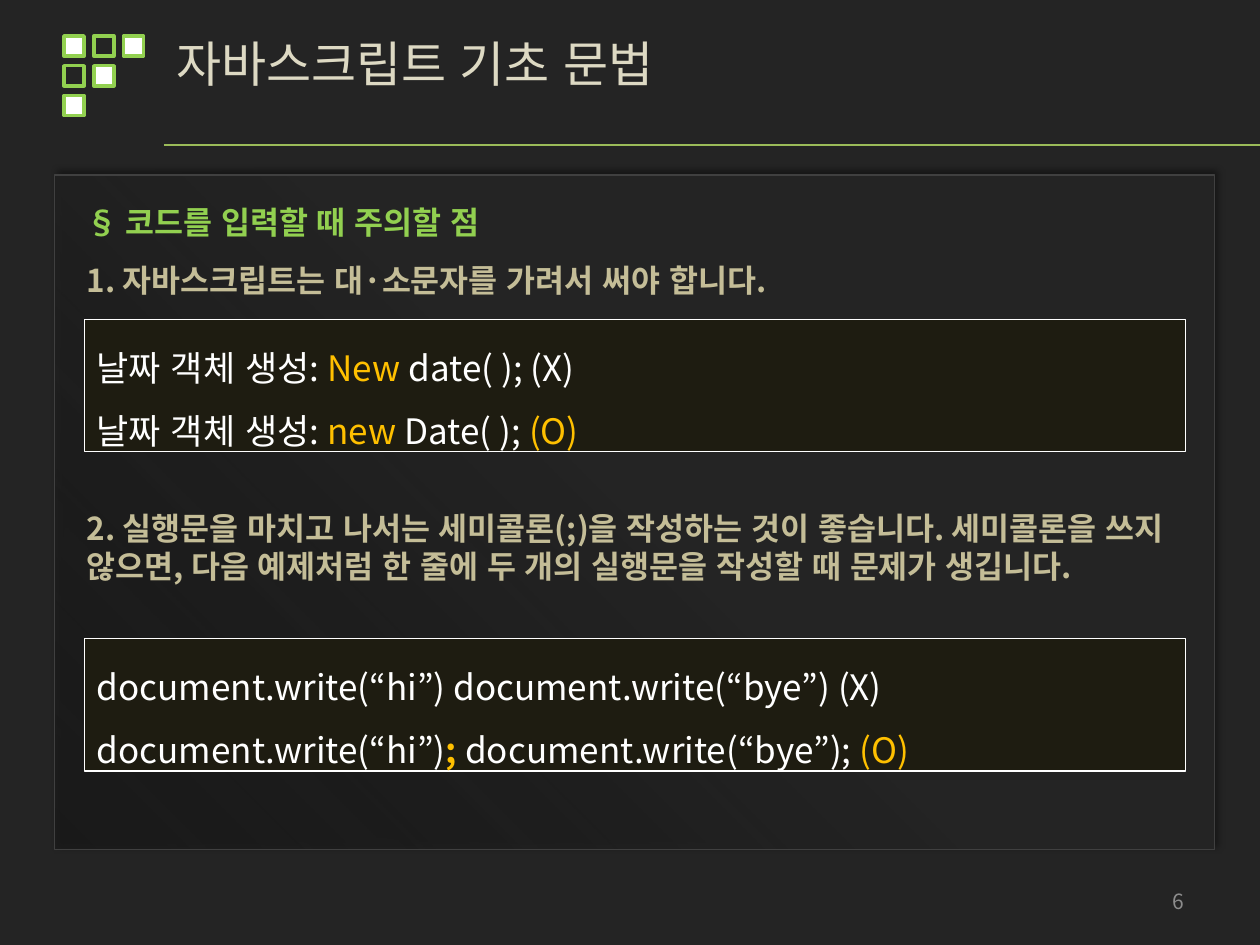
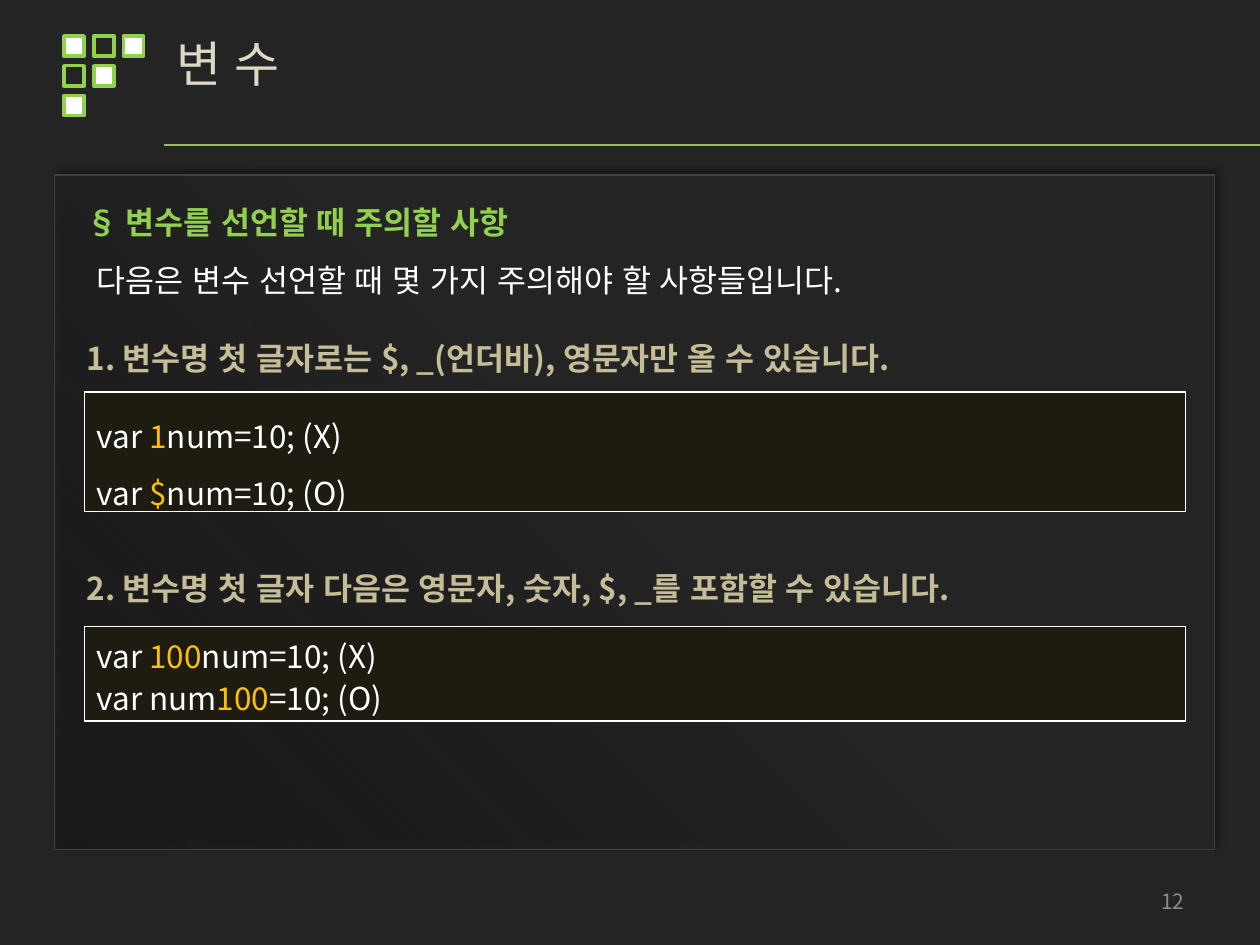
from dataclasses import dataclass

from lxml.etree import SubElement, fromstring
from pptx import Presentation
from pptx.dml.color import RGBColor
from pptx.enum.lang import MSO_LANGUAGE_ID
from pptx.enum.shapes import MSO_CONNECTOR, MSO_SHAPE
from pptx.enum.text import MSO_ANCHOR, MSO_AUTO_SIZE, PP_ALIGN
from pptx.oxml.ns import nsdecls, qn
from pptx.util import Pt


@dataclass(frozen=True)
class Theme:
    """Hold the colours, type sizes and font of the deck."""
    font: str = "Noto Sans CJK KR"
    background: str = "242424"
    panel_dark: str = "191919"
    panel_line: str = "404040"
    code_fill: str = "1E1C11"
    green: str = "92D050"
    rule: str = "9BBB59"
    white: str = "FFFFFF"
    accent: str = "FFC000"
    title: str = "DDD9C3"
    point: str = "C4BD97"
    number: str = "8C8C8C"
    title_size: int = 28
    code_size: int = 20
    body_size: int = 18
    number_size: int = 12


THEME = Theme()
SLIDE_WIDTH, SLIDE_HEIGHT = 720, 540
TEXT_LEFT, TEXT_WIDTH = 42.5, 641
CODE_LEFT, CODE_WIDTH = 48.2, 629.3
HEADING_TOP, INTRO_TOP, LINE_HEIGHT = 112.3, 145.4, 29
SQUARE_ROWS = ((True, False, True), (False, True), (True,))


def rgb(value):
    """Turn a hex string into a colour."""
    return RGBColor.from_string(value)


def add_span(para, text, size, color, bold=False):
    """Add one run in the deck font."""
    span = para.add_run()
    span.text = text
    font = span.font
    font.size = Pt(size)
    font.bold = bold
    font.color.rgb = rgb(color)
    font.name = THEME.font
    font.language_id = MSO_LANGUAGE_ID.KOREAN
    SubElement(span._r.get_or_add_rPr(), qn("a:ea"), typeface=THEME.font)


def add_box(page, left, top, width, height, fill, line, weight):
    """Add a plain rectangle without shadow."""
    box = page.shapes.add_shape(
        MSO_SHAPE.RECTANGLE, Pt(left), Pt(top), Pt(width), Pt(height))
    box.shadow.inherit = False
    if fill:
        box.fill.solid()
        box.fill.fore_color.rgb = rgb(fill)
    else:
        box.fill.background()
    box.line.color.rgb = rgb(line)
    box.line.width = Pt(weight)
    return box


def add_text(page, left, top, width, height, text, size, color,
             bold=False, align=PP_ALIGN.LEFT, anchor=MSO_ANCHOR.TOP):
    """Add a wrapped text box with one paragraph."""
    box = page.shapes.add_textbox(Pt(left), Pt(top), Pt(width), Pt(height))
    frame = box.text_frame
    frame.word_wrap = True
    frame.vertical_anchor = anchor
    para = frame.paragraphs[0]
    para.alignment = align
    add_span(para, text, size, color, bold)


def add_squares(page):
    """Add the stepped grid of small squares."""
    for row, cells in enumerate(SQUARE_ROWS):
        for column, filled in enumerate(cells):
            add_box(page, 36.6 + 17 * column, 20.6 + 17 * row, 11.5, 11.5,
                    THEME.white if filled else None, THEME.green, 2)


def add_rule(page):
    """Add the line below the title."""
    rule = page.shapes.add_connector(
        MSO_CONNECTOR.STRAIGHT, Pt(93.6), Pt(82.8), Pt(SLIDE_WIDTH), Pt(82.8))
    rule.line.color.rgb = rgb(THEME.rule)
    rule.line.width = Pt(1.25)
    SubElement(rule._element.spPr, qn("a:effectLst"))


def add_panel(page):
    """Add the content panel with its corner gradient and shadow."""
    panel = add_box(page, 31, 100, 663, 385.5, None, THEME.panel_line, 0.75)
    properties = panel._element.spPr
    gradient = fromstring(
        f'<a:gradFill {nsdecls("a")} rotWithShape="1"><a:gsLst>'
        f'<a:gs pos="0"><a:srgbClr val="{THEME.panel_dark}">'
        '<a:alpha val="62000"/></a:srgbClr></a:gs>'
        f'<a:gs pos="50000"><a:srgbClr val="{THEME.background}"/></a:gs>'
        '</a:gsLst><a:path path="circle">'
        '<a:fillToRect t="100000" r="100000"/></a:path></a:gradFill>')
    properties.replace(properties.find(qn("a:noFill")), gradient)
    shadow = SubElement(
        properties.find(qn("a:effectLst")), qn("a:outerShdw"),
        blurRad=str(Pt(4)), dist=str(Pt(3)), dir=str(315 * 60000),
        algn="bl", rotWithShape="0")
    color = SubElement(shadow, qn("a:srgbClr"), val="000000")
    SubElement(color, qn("a:alpha"), val="40000")


def add_page(deck, title, number, heading):
    """Add a page with the shared frame, title, number and heading."""
    page = deck.slides.add_slide(deck.slide_layouts[6])
    add_squares(page)
    add_rule(page)
    add_panel(page)
    add_text(page, 93.6, 15.8, 623.5, 61.2, title, THEME.title_size, THEME.title)
    add_text(page, 516, 500.4, 168, 28.8, number, THEME.number_size,
             THEME.number, align=PP_ALIGN.RIGHT, anchor=MSO_ANCHOR.MIDDLE)
    add_text(page, TEXT_LEFT, HEADING_TOP, TEXT_WIDTH, LINE_HEIGHT,
             "§ " + heading, THEME.body_size, THEME.green, True)
    return page


def add_point(page, top, text, height=LINE_HEIGHT):
    """Add a bold numbered statement."""
    add_text(page, TEXT_LEFT, top, TEXT_WIDTH, height, text,
             THEME.body_size, THEME.point, True)


def add_code(page, top, height, size, lines, spacing=1.5):
    """Add a code box; each line is (text, color[, bold]) spans."""
    box = add_box(page, CODE_LEFT, top, CODE_WIDTH, height,
                  THEME.code_fill, THEME.white, 0.75)
    frame = box.text_frame
    frame.word_wrap = True
    frame.auto_size = MSO_AUTO_SIZE.SHAPE_TO_FIT_TEXT
    frame.vertical_anchor = MSO_ANCHOR.TOP
    for index, spans in enumerate(lines):
        para = frame.add_paragraph() if index else frame.paragraphs[0]
        para.alignment = PP_ALIGN.JUSTIFY
        para.line_spacing = spacing
        for text, *style in spans:
            add_span(para, text, size, *style)


def add_syntax_page(deck):
    """Build the page on basic syntax."""
    white, accent = THEME.white, THEME.accent
    page = add_page(deck, "자바스크립트 기초 문법", "6", "코드를 입력할 때 주의할 점")
    add_point(page, INTRO_TOP, "1. 자바스크립트는 대·소문자를 가려서 써야 합니다.")
    add_code(page, 182.6, 75.6, THEME.code_size, (
        (("날짜 객체 생성: ", white), ("New", accent), (" date( ); (X) ", white)),
        (("날짜 객체 생성: ", white), ("new", accent), (" Date( ); ", white),
         ("(O)", accent))))
    add_point(page, 287.3,
              "2. 실행문을 마치고 나서는 세미콜론(;)을 작성하는 것이 좋습니다. "
              "세미콜론을 쓰지 않으면, 다음 예제처럼 한 줄에 두 개의 실행문을 "
              "작성할 때 문제가 생깁니다.", 72.7)
    add_code(page, 365, 75.6, THEME.code_size, (
        (("document.write(“hi”) document.write(“bye”) (X)", white),),
        (("document.write(“hi”)", white), ("; ", accent, True),
         ("document.write(“bye”); ", white), ("(O)", accent))))


def add_variable_page(deck):
    """Build the page on variables."""
    white, accent = THEME.white, THEME.accent
    page = add_page(deck, "변 수", "12", "변수를 선언할 때 주의할 사항")
    add_text(page, CODE_LEFT, INTRO_TOP, CODE_WIDTH, LINE_HEIGHT,
             "다음은 변수 선언할 때 몇 가지 주의해야 할 사항들입니다.",
             THEME.body_size, white, align=PP_ALIGN.JUSTIFY)
    add_point(page, 190, "1. 변수명 첫 글자로는 $, _(언더바), 영문자만 올 수 있습니다.")
    add_code(page, 224, 68.5, THEME.body_size, (
        (("var ", white), ("1", accent), ("num=10; (X)", white)),
        (("var ", white), ("$", accent), ("num=10; (O)", white))))
    add_point(page, 321.8,
              "2. 변수명 첫 글자 다음은 영문자, 숫자, $, _를 포함할 수 있습니다.")
    add_code(page, 358, 54, THEME.body_size, (
        (("var ", white), ("100", accent), ("num=10; (X)", white)),
        (("var num", white), ("100", accent), ("=10; (O)", white))), Pt(24))


def main():
    """Build and save the deck."""
    deck = Presentation()
    deck.slide_width, deck.slide_height = Pt(SLIDE_WIDTH), Pt(SLIDE_HEIGHT)
    backdrop = deck.slide_master.background.fill
    backdrop.solid()
    backdrop.fore_color.rgb = rgb(THEME.background)
    add_syntax_page(deck)
    add_variable_page(deck)
    deck.save("out.pptx")


main()
